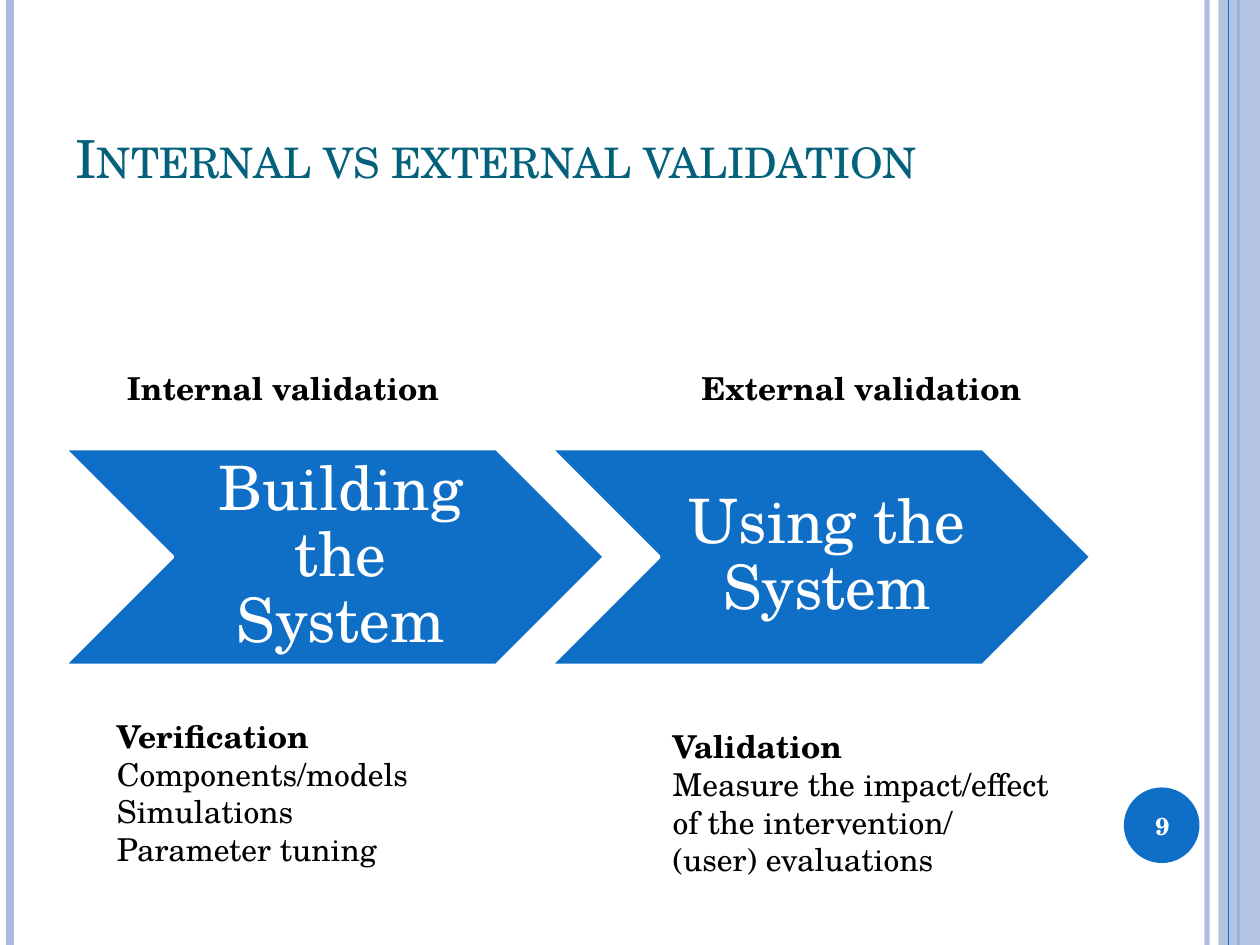
from dataclasses import dataclass

from lxml.etree import SubElement
from pptx import Presentation
from pptx.dml.color import RGBColor
from pptx.enum.shapes import MSO_CONNECTOR, MSO_SHAPE
from pptx.enum.text import MSO_ANCHOR, MSO_AUTO_SIZE, PP_ALIGN
from pptx.oxml.ns import qn
from pptx.util import Inches, Pt


@dataclass(frozen=True)
class Theme:
    font: str = "TeX Gyre Schola"
    blue: str = "0F6FC6"
    pale: str = "ABBBDF"
    teal: str = "04617B"
    black: str = "000000"
    white: str = "FFFFFF"
    title_size: int = 30
    step_size: int = 35
    body_size: int = 18
    number_size: int = 14


THEME = Theme()
SLIDE_HEIGHT = 7.5
STEP_TOP, STEP_WIDTH, STEP_HEIGHT = 3.56, 4.29, 1.72
STEP_LEFT, STEP_PITCH = 0.51, 3.86


def set_alpha(shape, percent):
    """Set the opacity of the first colour of a shape or line."""
    color = next(shape._element.spPr.iter(qn("a:srgbClr")))
    SubElement(color, qn("a:alpha"), val=str(percent * 1000))


def add_rule(slide, x, color, width, alpha=None):
    """Add a vertical line over the full height of the slide."""
    rule = slide.shapes.add_connector(
        MSO_CONNECTOR.STRAIGHT, Inches(x), 0, Inches(x), Inches(SLIDE_HEIGHT))
    rule.line.color.rgb = RGBColor.from_string(color)
    rule.line.width = Pt(width)
    if alpha:
        set_alpha(rule, alpha)
    SubElement(rule._element.spPr, qn("a:effectLst"))


def add_filled(slide, kind, bounds, color, outline=None, alpha=None):
    shape = slide.shapes.add_shape(kind, *map(Inches, bounds))
    shape.shadow.inherit = False
    shape.fill.solid()
    shape.fill.fore_color.rgb = RGBColor.from_string(color)
    if alpha:
        set_alpha(shape, alpha)
    if outline:
        shape.line.color.rgb = RGBColor.from_string(outline)
        shape.line.width = Pt(2)
    else:
        shape.line.fill.background()


def write(frame, paragraphs, size, color, align=PP_ALIGN.LEFT,
          anchor=MSO_ANCHOR.TOP, line_spacing=None):
    """Fill a text frame; each paragraph is a list of (text, bold) spans."""
    frame.word_wrap = True
    frame.vertical_anchor = anchor
    for index, spans in enumerate(paragraphs):
        para = frame.add_paragraph() if index else frame.paragraphs[0]
        para.alignment = align
        para.line_spacing = line_spacing
        for text, bold in spans:
            span = para.add_run()
            span.text = text
            span.font.name = THEME.font
            span.font.size = Pt(size)
            span.font.bold = bold
            span.font.color.rgb = RGBColor.from_string(color)


def add_text(slide, bounds, paragraphs, size=THEME.body_size,
             color=THEME.black, **text_format):
    box = slide.shapes.add_textbox(*map(Inches, bounds))
    write(box.text_frame, paragraphs, size, color, **text_format)
    return box


def add_note(slide, bounds, paragraphs):
    box = add_text(slide, bounds, paragraphs)
    box.text_frame.auto_size = MSO_AUTO_SIZE.SHAPE_TO_FIT_TEXT


def add_step(slide, index, label):
    left = STEP_LEFT + index * STEP_PITCH
    add_filled(slide, MSO_SHAPE.CHEVRON,
               (left, STEP_TOP, STEP_WIDTH, STEP_HEIGHT),
               THEME.blue, outline=THEME.white)
    inset = STEP_HEIGHT / 2
    box = add_text(slide, (left + inset, STEP_TOP, STEP_WIDTH - 2 * inset, STEP_HEIGHT),
                   [[(label, False)]], THEME.step_size, THEME.white,
                   align=PP_ALIGN.CENTER, anchor=MSO_ANCHOR.MIDDLE, line_spacing=0.9)
    frame = box.text_frame
    frame.margin_left = Inches(0.15)
    frame.margin_right = frame.margin_top = frame.margin_bottom = Inches(0.05)


def add_frame(slide):
    add_rule(slide, 9.58, THEME.pale, 3, alpha=93)
    add_rule(slide, 0.08, THEME.pale, 4.5)
    add_rule(slide, 9.83, THEME.blue, 1.5)
    add_filled(slide, MSO_SHAPE.RECTANGLE, (9.67, 0, 0.33, SLIDE_HEIGHT),
               THEME.pale, alpha=87)
    add_rule(slide, 9.75, THEME.blue, 0.75)
    add_filled(slide, MSO_SHAPE.OVAL, (8.92, 6.25, 0.6, 0.6), THEME.blue)


def set_title(slide, text):
    title = slide.shapes.title
    title.left, title.top, title.width, title.height = map(
        Inches, (0.5, 0.3, 8.17, 1.25))
    write(title.text_frame, [[(text, False)]], THEME.title_size, THEME.teal,
          anchor=MSO_ANCHOR.BOTTOM)
    title.text_frame.paragraphs[0].runs[0]._r.get_or_add_rPr().set("cap", "small")


def main():
    deck = Presentation()
    deck.slide_width, deck.slide_height = Inches(10), Inches(SLIDE_HEIGHT)
    page = deck.slides.add_slide(deck.slide_layouts[5])

    add_frame(page)
    set_title(page, "Internal vs external validation")
    for index, label in enumerate(("Building the System", "Using the System")):
        add_step(page, index, label)
    add_text(page, (8.89, 6.27, 0.67, 0.57), [[("9", True)]],
             THEME.number_size, THEME.white,
             align=PP_ALIGN.CENTER, anchor=MSO_ANCHOR.MIDDLE)

    add_note(page, (0.91, 2.88, 3.23, 0.4), [[("Internal validation", True)]])
    add_note(page, (5.47, 2.88, 2.83, 0.4), [[("External validation", True)]])
    add_note(page, (0.83, 5.64, 3.07, 1.31), [
        [("Verification ", True), ("Components/models Simulations", False)],
        [("Parameter tuning", False)],
    ])
    add_note(page, (5.24, 5.72, 3.43, 1.31), [
        [("Validation", True)],
        [("Measure the impact/effect of the intervention/", False)],
        [("(user) evaluations", False)],
    ])
    deck.save("out.pptx")


if __name__ == "__main__":
    main()
